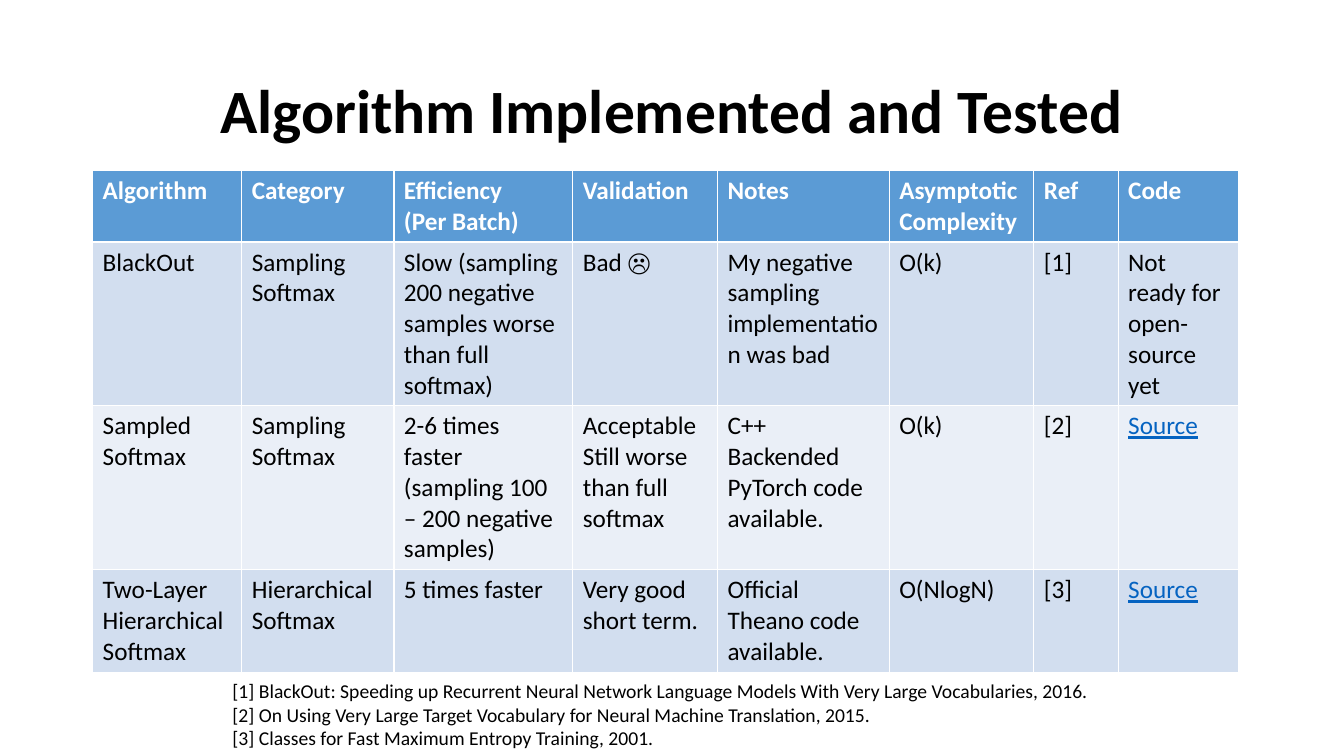
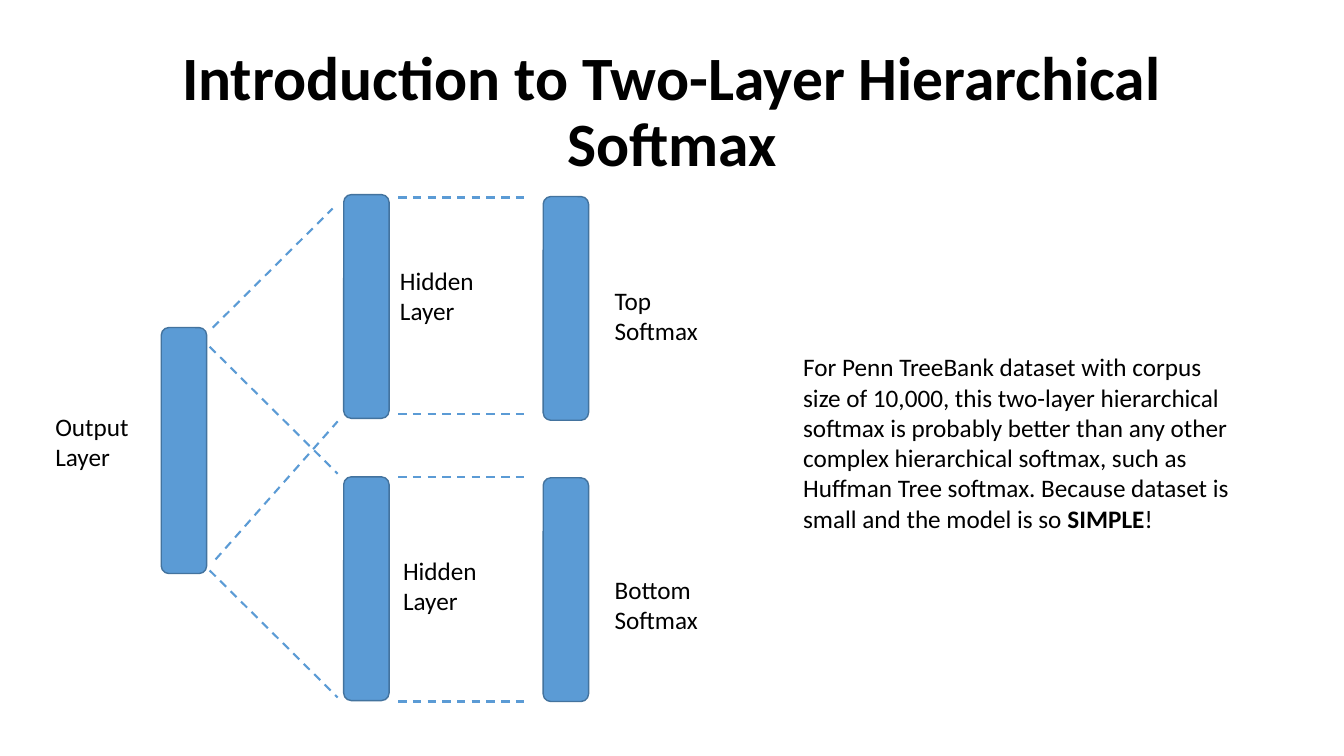
import pptx
import pptx.util
import pptx.dml.color
import pptx.enum.dml
import pptx.enum.shapes
import pptx.enum.text
import pptx.oxml.ns
import lxml.etree

Pt = pptx.util.Pt
BLUE, EDGE, LINK = "5B9BD5", "43739E", "0563C1"
BLACK, WHITE = "000000", "FFFFFF"
BANDS = ("D2DEEF", "EAEFF7")


def rgb(value):
    return pptx.dml.color.RGBColor.from_string(value)


class Deck:
    """Holds the shared style and the slide being built."""

    def __init__(self):
        self.prs = pptx.Presentation()
        self.prs.slide_width, self.prs.slide_height = Pt(960), Pt(540)
        self.s = None

    def format(self, tf, size=18, color=BLACK, bold=False):
        for p in tf.paragraphs:
            for r in p.runs:
                r.font.name, r.font.size, r.font.bold = "Calibri", Pt(size), bold
                r.font.color.rgb = rgb(color)

    def slide(self, title):
        self.s = self.prs.slides.add_slide(self.prs.slide_layouts[5])
        sp = self.s.shapes.title
        sp.left, sp.top, sp.width, sp.height = Pt(66), Pt(28.8), Pt(828), Pt(104.4)
        tf = sp.text_frame
        tf.text = title
        tf.auto_size = pptx.enum.text.MSO_AUTO_SIZE.NONE
        tf.vertical_anchor = pptx.enum.text.MSO_ANCHOR.MIDDLE
        tf.paragraphs[0].alignment = pptx.enum.text.PP_ALIGN.CENTER
        tf.paragraphs[0].line_spacing = 0.9
        self.format(tf, 44, bold=True)

    def text(self, x, y, w, h, text, size=18):
        tf = self.s.shapes.add_textbox(Pt(x), Pt(y), Pt(w), Pt(h)).text_frame
        tf.word_wrap = True
        tf.text = text
        self.format(tf, size)
        return tf

    def bar(self, x, y, h):
        kind = pptx.enum.shapes.MSO_SHAPE.ROUNDED_RECTANGLE
        sp = self.s.shapes.add_shape(kind, Pt(x), Pt(y), Pt(32.4), Pt(h))
        sp.shadow.inherit = False
        sp.fill.solid()
        sp.fill.fore_color.rgb = rgb(BLUE)
        sp.line.color.rgb = rgb(EDGE)
        sp.line.width = Pt(1)

    def dash(self, x1, y1, x2, y2):
        kind = pptx.enum.shapes.MSO_CONNECTOR.STRAIGHT
        sp = self.s.shapes.add_connector(kind, Pt(x1), Pt(y1), Pt(x2), Pt(y2))
        sp.line.color.rgb = rgb(BLUE)
        sp.line.width = Pt(1.5)
        sp.line.dash_style = pptx.enum.dml.MSO_LINE.DASH
        lxml.etree.SubElement(sp._element.spPr, pptx.oxml.ns.qn("a:effectLst"))

    def table(self, x, y, widths, heights, rows):
        table = self.s.shapes.add_table(len(rows), len(widths), Pt(x), Pt(y),
                                        Pt(sum(widths)), Pt(sum(heights))).table
        for column, width in zip(table.columns, widths):
            column.width = Pt(width)
        for i, (row, height) in enumerate(zip(rows, heights)):
            table.rows[i].height = Pt(height)
            for j, value in enumerate(row):
                cell = table.cell(i, j)
                cell.text_frame.text = value
                cell.fill.solid()
                cell.fill.fore_color.rgb = rgb(BANDS[(i - 1) % 2] if i else BLUE)
                self.format(cell.text_frame, color=BLACK if i else WHITE, bold=i == 0)
        return table


def algorithms(deck):
    deck.slide("Algorithm Implemented and Tested")
    rows = [
        ["Algorithm", "Category", "Efficiency\n(Per Batch)", "Validation", "Notes",
         "Asymptotic Complexity", "Ref", "Code"],
        ["BlackOut", "Sampling Softmax",
         "Slow (sampling 200 negative samples worse than full softmax)", "Bad ☹",
         "My negative sampling implementation was bad", "O(k)", "[1]",
         "Not ready for open-source yet"],
        ["Sampled Softmax", "Sampling Softmax",
         "2-6 times faster (sampling 100 – 200 negative samples)",
         "Acceptable\nStill worse than full softmax",
         "C++ Backended PyTorch code available.", "O(k)", "[2]", "Source"],
        ["Two-Layer Hierarchical Softmax", "Hierarchical Softmax", "5 times faster",
         "Very good short term.", "Official Theano code available.", "O(NlogN)", "[3]",
         "Source"],
    ]
    widths = [106.5, 108.7, 127.8, 103.4, 122.6, 103.4, 60.2, 85.7]
    table = deck.table(66.2, 121.7, widths, [50, 117, 117, 73], rows)
    for i in (2, 3):
        font = table.cell(i, 7).text_frame.paragraphs[0].runs[0].font
        font.color.rgb = rgb(LINK)
        font.underline = True
    deck.text(159, 481.7, 631.5, 58.3,
              "[1] BlackOut: Speeding up Recurrent Neural Network Language Models "
              "With Very Large Vocabularies, 2016.\n"
              "[2] On Using Very Large Target Vocabulary for Neural Machine Translation, 2015.\n"
              "[3] Classes for Fast Maximum Entropy Training, 2001.", 14)


def two_layer(deck):
    deck.slide("Introduction to Two-Layer Hierarchical Softmax")
    deck.bar(115.2, 234, 175.7)
    for hidden_top, softmax_top in ((139, 140.4), (340.6, 341.3)):
        deck.bar(245.5, hidden_top, 159.8)
        deck.bar(388, softmax_top, 159.8)
    for ends in ((152, 234, 237.6, 149), (154, 399.6, 241.2, 301),
                 (149.8, 247.7, 241.2, 338.4), (149.8, 407.5, 241.2, 498.2)):
        deck.dash(*ends)
    for y in (141.1, 295.9, 340.6, 501.1):
        deck.dash(284.4, y, 375.8, y)
    for x, y, w, label in ((32.4, 290.2, 68.4, "Output Layer"),
                           (278.6, 185.8, 68.4, "Hidden Layer"),
                           (280.8, 393.1, 68.4, "Hidden Layer"),
                           (432, 200.2, 105, "Top\nSoftmax"),
                           (432, 406.8, 105, "Bottom Softmax")):
        deck.text(x, y, w, 51, label)
    tf = deck.text(566.6, 247.7, 327.6, 138.2,
                   "For Penn TreeBank dataset with corpus size of 10,000, this two-layer "
                   "hierarchical softmax is probably better than any other complex "
                   "hierarchical softmax, such as Huffman Tree softmax. Because dataset "
                   "is small and the model is so ")
    p = tf.paragraphs[0]
    for part in ("SIMPLE", "!"):
        p.add_run().text = part
    deck.format(tf)
    p.runs[1].font.bold = True


def main():
    deck = Deck()
    algorithms(deck)
    two_layer(deck)
    deck.prs.save("out.pptx")


if __name__ == "__main__":
    main()
